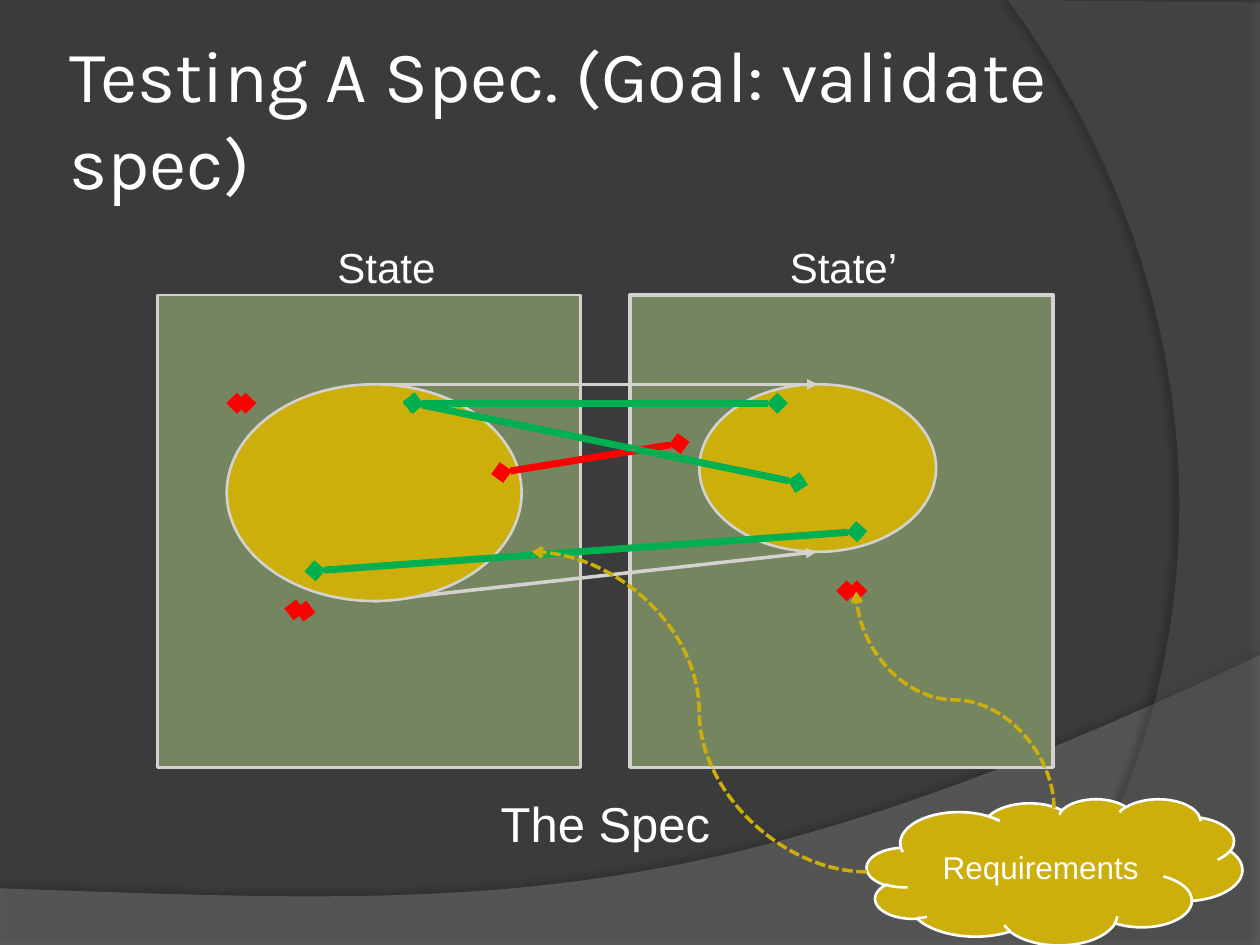
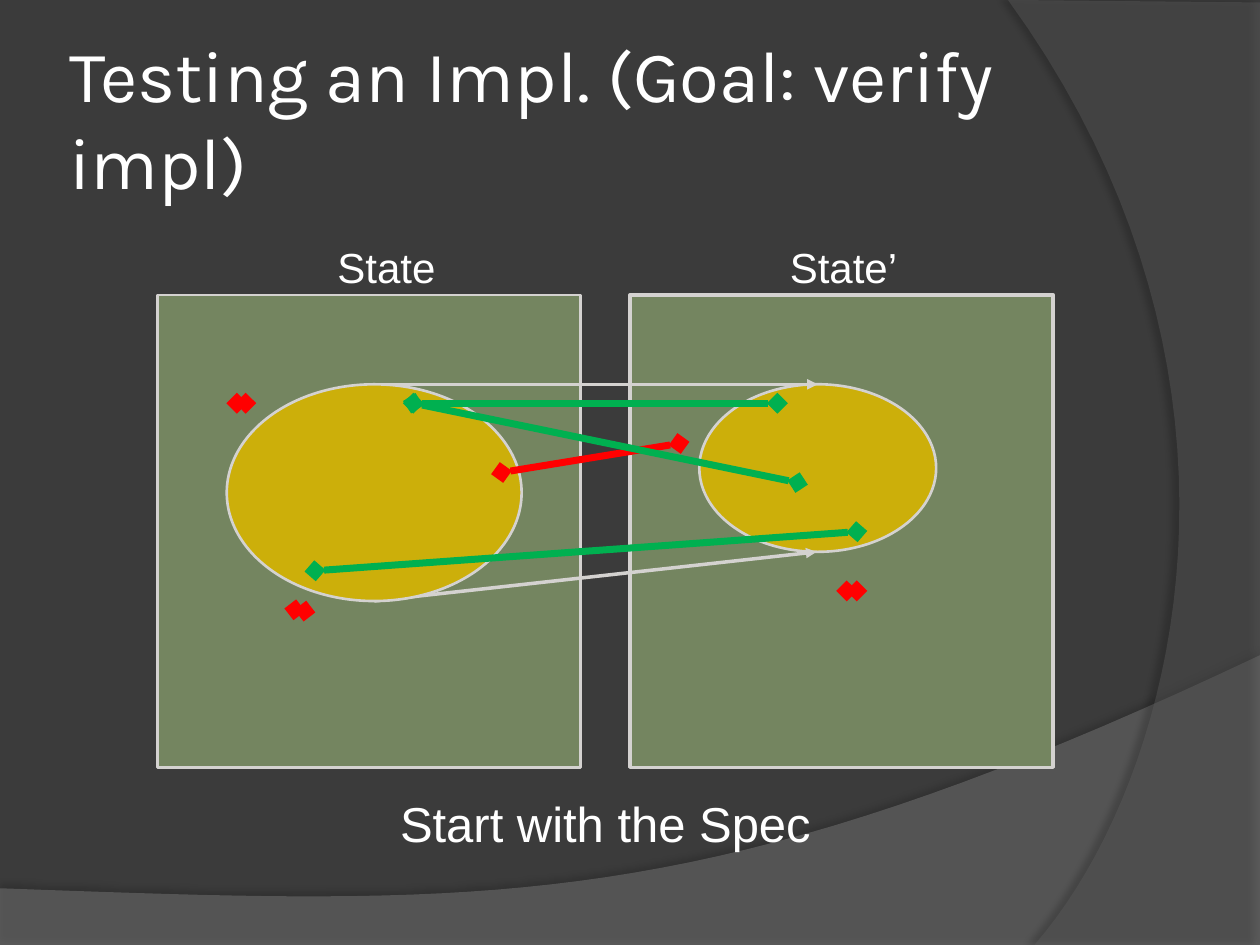
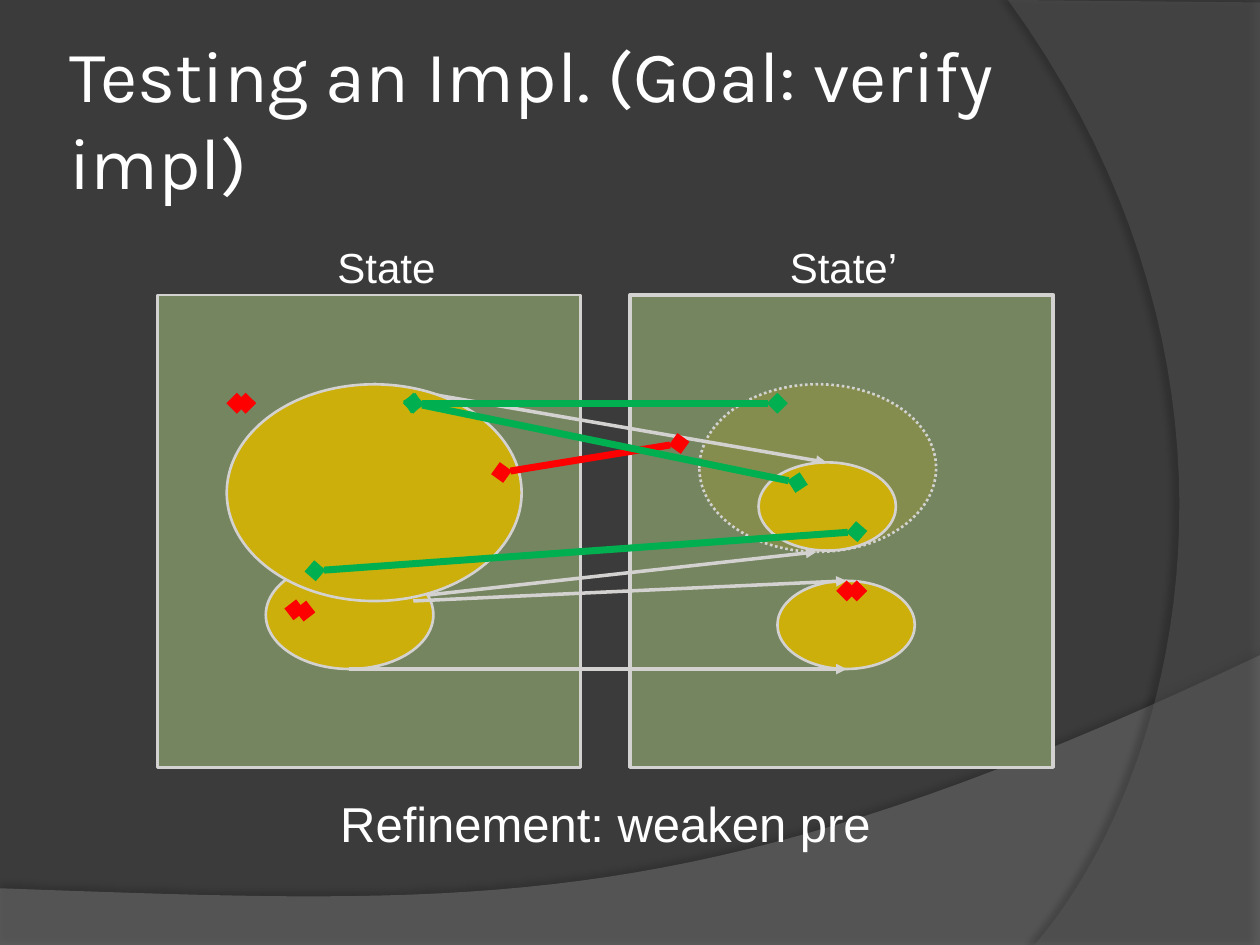
from lxml import etree
from pptx import Presentation
from pptx.dml.color import RGBColor
from pptx.enum.dml import MSO_LINE
from pptx.enum.shapes import MSO_CONNECTOR, MSO_SHAPE
from pptx.enum.text import MSO_ANCHOR, PP_ALIGN
from pptx.oxml.ns import qn
from pptx.util import Inches, Pt

RECT, OVAL, CLOUD = MSO_SHAPE.RECTANGLE, MSO_SHAPE.OVAL, MSO_SHAPE.CLOUD
LINE, CURVE = MSO_CONNECTOR.STRAIGHT, MSO_CONNECTOR.CURVE
DASH, DOT = MSO_LINE.SQUARE_DOT, MSO_LINE.ROUND_DOT
LEFT, MID = PP_ALIGN.LEFT, PP_ALIGN.CENTER
TOP, CENTER = MSO_ANCHOR.TOP, MSO_ANCHOR.MIDDLE

HUES = {
    "back": "3B3B3B", "wave": "7F7F7F", "arc": "5E5E5E", "shade": "000000",
    "text": "FFFFFF", "box": "748560", "rim": "D4D2D0", "gold": "CCAF0A",
    "pass": "00B050", "fail": "FF0000",
}
COLORS = {name: RGBColor.from_string(hue) for name, hue in HUES.items()}

# Decor bands: corners, curve from the last corner, colour, alpha, shadow
# (shadow alpha, distance in points, angle)
BANDS = [
    ([(0, 7.05), (0, 7.51), (10, 7.51), (10, 5.2)],
     [(5.59, 7.29), (3.91, 7.19), (0, 7.05)], "wave", 45, (35, 3.5, 270)),
    ([(10, 0.02), (10, 7.5), (8.21, 7.5)],
     [(9.35, 6.19), (10.18, 3), (8, 0)], "arc", 40, (45, 4, 180)),
]

# Test cases: from, to, colour
TESTS = [
    (3.28, 3.2, 6.17, 3.2, "pass"),
    (2.5, 4.53, 6.8, 4.22, "pass"),
    (1.95, 3.2, 1.88, 3.2, "fail"),
    (2.42, 4.85, 2.34, 4.84, "fail"),
    (3.98, 3.75, 5.39, 3.52, "fail"),
    (6.8, 4.69, 6.72, 4.69, "fail"),
    (3.28, 3.2, 6.33, 3.83, "pass"),
]

PRE = (1.8, 3.05, 2.34, 1.72)
POST = (5.55, 3.05, 1.88, 1.33)
LOW = (2.97, 4.77, 6.48, 4.38)
SPEC = [(2.97, 3.05, 6.49, 3.05), LOW]
IMPL = "Testing an Impl. (Goal: verify impl)"

# title, title width, caption, caption box, arrows, ovals, arrows on top
PAGES = [
    ("Testing A Spec. (Goal: validate spec)", 9.11,
     "The Spec", (3.28, 6.25, 3.05, 0.57), SPEC, [PRE], []),
    (IMPL, 8.88,
     "Start with the Spec", (1.25, 6.25, 7.11, 0.57), SPEC, [PRE], []),
    (IMPL, 8.17,
     "Refinement: weaken pre", (1.25, 6.25, 7.11, 0.57),
     [(2.97, 3.05, 6.56, 3.67), LOW],
     [(6.02, 3.67, 1.09, 0.7), (2.11, 4.45, 1.33, 0.86), PRE,
      (6.17, 4.61, 1.09, 0.7)],
     [(2.77, 5.31, 6.72, 5.31), (3.28, 4.77, 6.72, 4.61)]),
]


def draw(slide, kind, box, fill, rim="rim", width=1.5):
    shape = slide.shapes.add_shape(kind, *map(Inches, box))
    shape.shadow.inherit = False
    shape.fill.solid()
    shape.fill.fore_color.rgb = COLORS[fill]
    shape.line.color.rgb = COLORS[rim]
    shape.line.width = Pt(width)
    return shape


def link(parent, kind, ends, color, width, tail, head=None, dash=None):
    line = parent.shapes.add_connector(kind, *map(Inches, ends))
    line.line.color.rgb = COLORS[color]
    line.line.width = Pt(width)
    if dash:
        line.line.dash_style = dash
    props = line._element.spPr
    stroke = props.find(qn("a:ln"))
    for tag, tip in (("a:headEnd", head), ("a:tailEnd", tail)):
        if tip:
            etree.SubElement(stroke, qn(tag), type=tip)
    etree.SubElement(props, qn("a:effectLst"))
    return line


deck = Presentation()
deck.slide_width, deck.slide_height = Inches(10), Inches(7.5)
back = deck.slide_master.background.fill
back.solid()
back.fore_color.rgb = COLORS["back"]

for page, (title, wide, note, place, arrows, ovals, late) in enumerate(PAGES, 1):
    slide = deck.slides.add_slide(deck.slide_layouts[6])

    # Decor bands
    for corners, (c1, c2, end), color, alpha, (dark, dist, angle) in BANDS:
        start = corners[-1]
        bend = []
        for step in range(1, 41):
            t = step / 40
            u = 1 - t
            bend.append([u**3 * a + 3 * u * u * t * b + 3 * u * t * t * c + t**3 * d
                         for a, b, c, d in zip(start, c1, c2, end)])
        points = [(Inches(x), Inches(y)) for x, y in corners + bend]
        pen = slide.shapes.build_freeform(*points[0])
        pen.add_line_segments(points[1:], close=True)
        band = pen.convert_to_shape()
        band.shadow.inherit = False
        band.fill.solid()
        band.fill.fore_color.rgb = COLORS[color]
        band.line.fill.background()
        props = band._element.spPr
        tint = props.find(qn("a:solidFill"))[0]
        etree.SubElement(tint, qn("a:alpha"), val=str(alpha * 1000))
        shade = etree.SubElement(
            props.find(qn("a:effectLst")), qn("a:outerShdw"), blurRad=str(Pt(4)),
            dist=str(Pt(dist)), dir=str(angle * 60000), rotWithShape="0")
        tint = etree.SubElement(shade, qn("a:srgbClr"), val=HUES["shade"])
        etree.SubElement(tint, qn("a:alpha"), val=str(dark * 1000))

    # State boxes and the sets inside them
    draw(slide, RECT, (1.25, 2.34, 3.36, 3.75), "box")
    draw(slide, RECT, (5, 2.34, 3.36, 3.75), "box", width=2)
    post = draw(slide, OVAL, POST, "gold")
    if page == 3:
        post.line.dash_style = DOT
        tint = post._element.spPr.find(qn("a:solidFill"))[0]
        etree.SubElement(tint, qn("a:alpha"), val="20000")
    for ends in arrows:
        link(slide, LINE, ends, "rim", 2, "triangle")
    for box in ovals:
        draw(slide, OVAL, box, "gold")
    for ends in late:
        link(slide, LINE, ends, "rim", 2, "triangle")

    # Text: wording, box, size, font, alignment, anchor, wrap, inset
    texts = [
        (title, (0.5, 0.3, wide, 1.25), 41.4, "Karla", LEFT, CENTER, True, 0.05),
        ("State", (2.58, 1.87, 0.99, 0.5), 24, "Arial", LEFT, TOP, False, 0.1),
        ("State’", (6.17, 1.87, 1.06, 0.5), 24, "Arial", LEFT, TOP, False, 0.1),
        (note, place, 28, "Arial", MID, TOP, True, 0.1),
    ]
    if page == 1:
        draw(slide, CLOUD, (6.88, 6.34, 2.98, 1.16), "gold", "text")
        texts.append(("Requirements", (7.29, 6.52, 1.94, 0.75), 18, "Arial",
                      MID, CENTER, True, 0.03))
    for words, box, size, font, align, anchor, wrap, inset in texts:
        frame = slide.shapes.add_textbox(*map(Inches, box)).text_frame
        frame.word_wrap = wrap
        frame.vertical_anchor = anchor
        frame.margin_left = frame.margin_right = Inches(inset)
        frame.margin_top = frame.margin_bottom = Inches(min(inset, 0.05))
        para = frame.paragraphs[0]
        para.text = words
        para.alignment = align
        para.font.size = Pt(size)
        para.font.name = font
        para.font.color.rgb = COLORS["text"]
        if words == "Requirements":
            para.line_spacing = 0.9

    # Test cases
    group = slide.shapes.add_group_shape()
    for *ends, color in TESTS:
        link(group, LINE, ends, color, 4, "diamond", "diamond")

    # Requirements pointing at two tests
    if page == 1:
        link(slide, CURVE, (6.88, 6.92, 4.22, 4.38), "gold", 2, "arrow", dash=DASH)
        turn = link(slide, CURVE, (6.72, 6.34, 8.44, 4.77), "gold", 2, "arrow",
                    dash=DASH)
        turn._element.spPr.find(qn("a:xfrm")).set("rot", str(270 * 60000))

deck.save("out.pptx")
